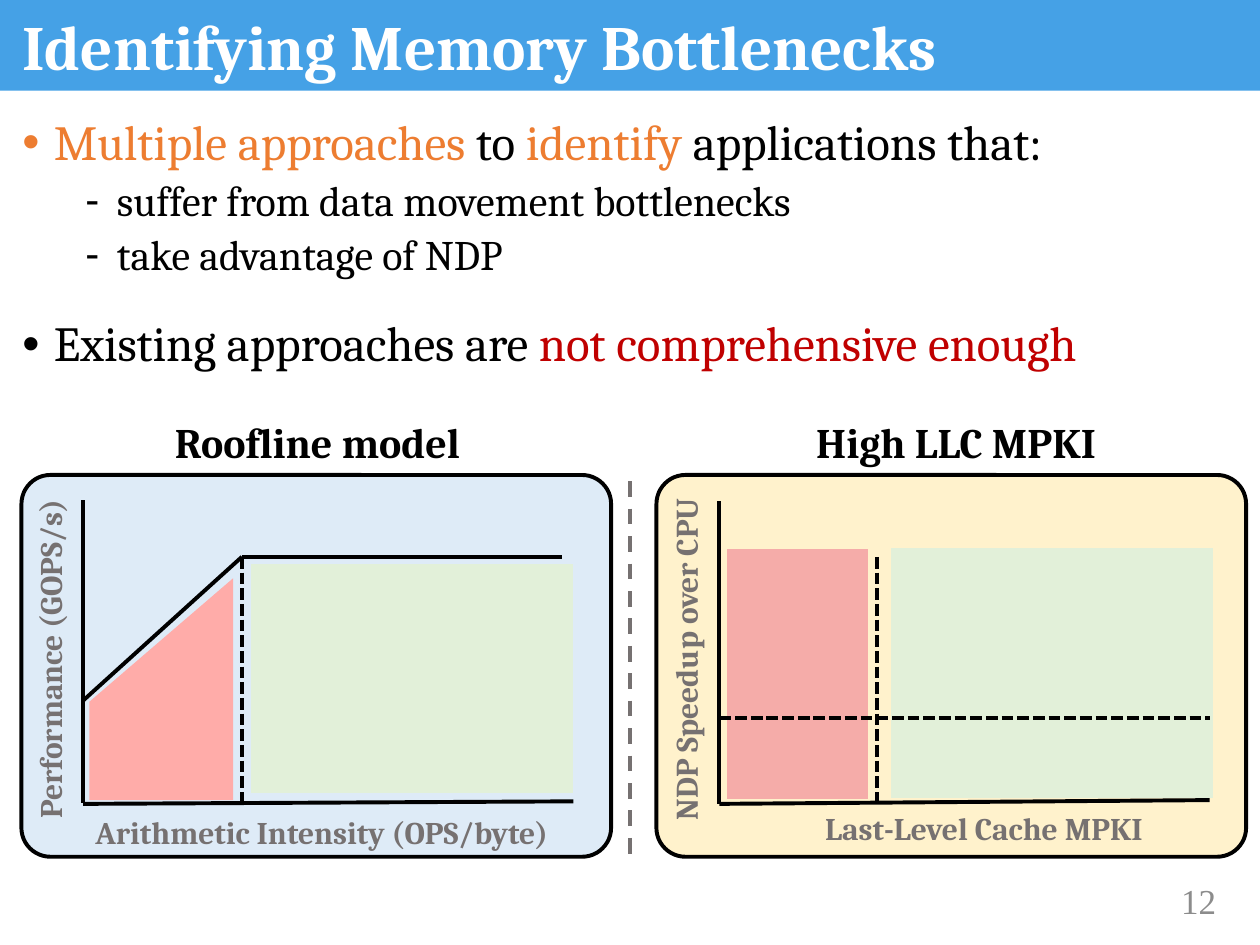
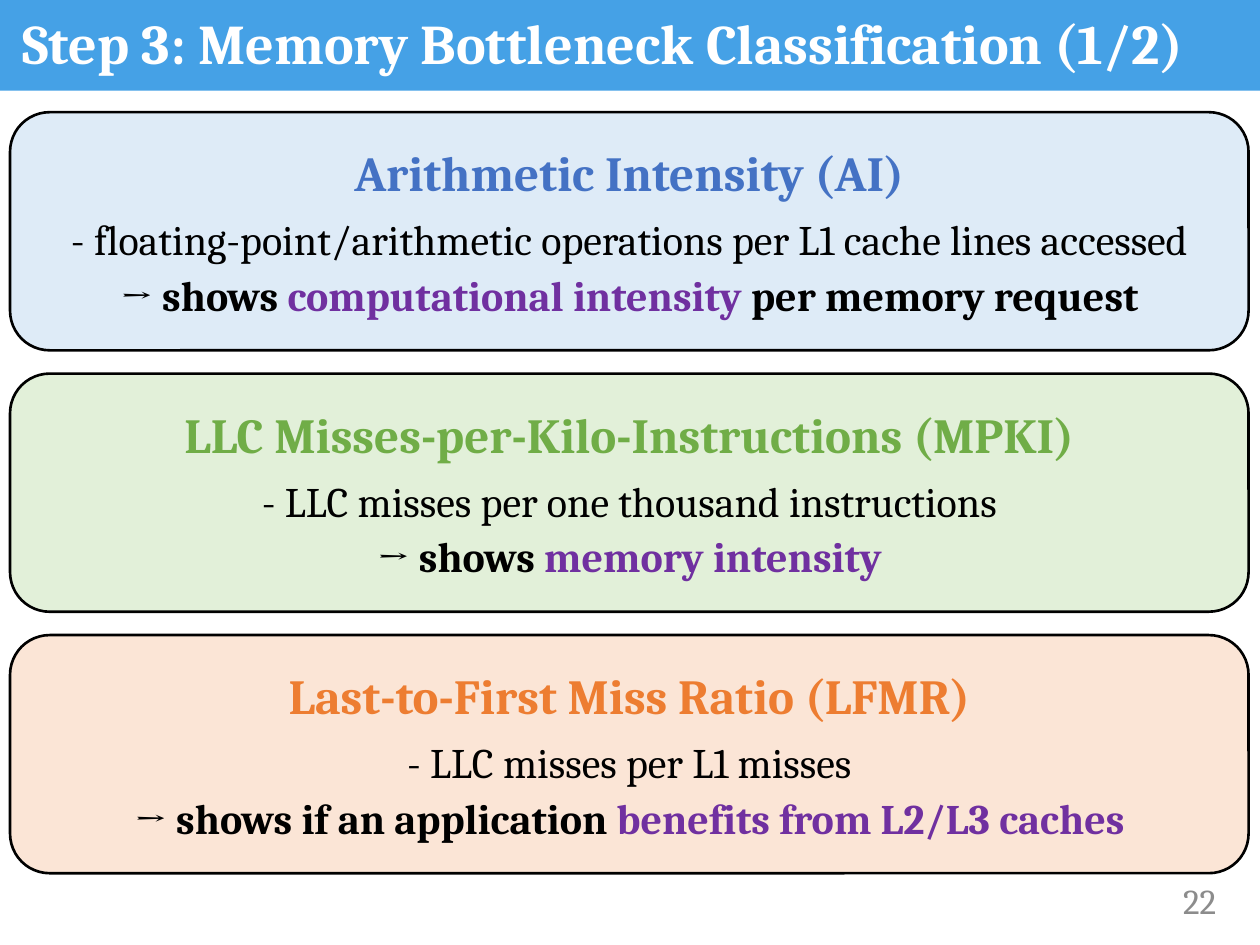
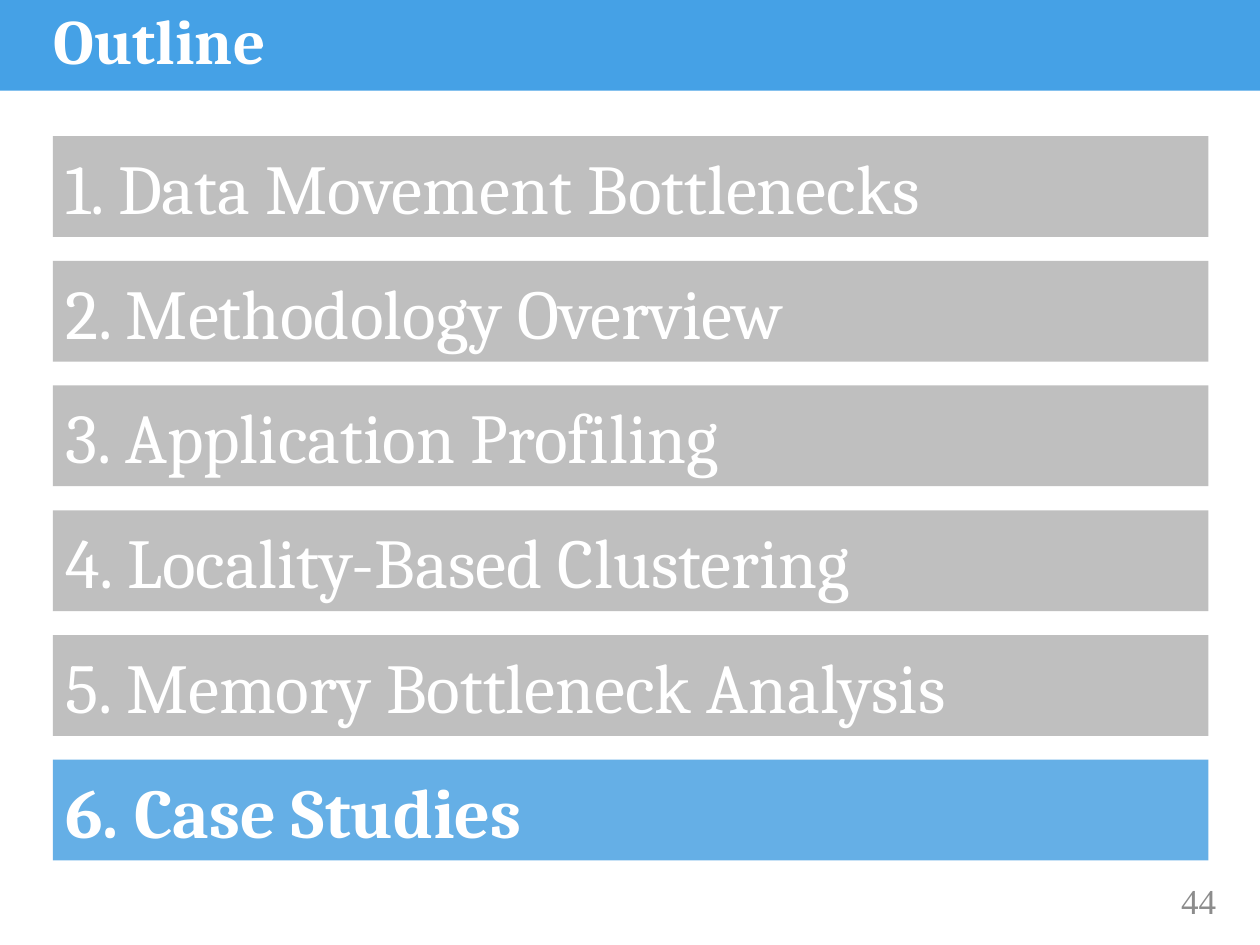
import pptx
import pptx.util
import pptx.dml.color
import pptx.enum.dml
import pptx.enum.shapes
import pptx.enum.text
import pptx.oxml.xmlchemy
from dataclasses import dataclass

Inches = pptx.util.Inches
Pt = pptx.util.Pt
Shape = pptx.enum.shapes.MSO_SHAPE
Align = pptx.enum.text.PP_ALIGN
Anchor = pptx.enum.text.MSO_ANCHOR
Dash = pptx.enum.dml.MSO_LINE
Element = pptx.oxml.xmlchemy.OxmlElement


@dataclass(frozen=True)
class Theme:
    font: str = "Cambria"
    plain: str = "Times New Roman"
    band: str = "45A1E6"
    white: str = "FFFFFF"
    black: str = "000000"
    gray: str = "767171"
    page: str = "8C8C8C"
    mute: str = "BFBFBF"
    live: str = "65AFE6"
    orange: str = "ED7D31"
    red: str = "C00000"
    blue: str = "4472C4"
    green: str = "70AD47"
    purple: str = "7030A0"
    sky: str = "DEEBF7"
    mint: str = "E2F0D9"
    cream: str = "FFF2CC"
    peach: str = "FBE5D6"
    rose: str = "FFACA9"
    pink: str = "F5ACA9"
    title: int = 36
    long: int = 32
    item: int = 40
    head: int = 28
    text: int = 24
    num: int = 20
    axis: int = 18
    thick: float = 2.25
    thin: float = 1.5


T = Theme()

# Each point: level, space before, runs of (text, colour)
POINTS = [
    (0, 0, [("Multiple approaches", T.orange), (" to ", T.black),
            ("identify", T.orange), (" applications that:", T.black)]),
    (1, 5, [("suffer from data movement bottlenecks", T.black)]),
    (1, 5, [("take advantage of NDP", T.black)]),
    (0, 23, [("Existing approaches are ", T.black),
             ("not comprehensive enough", T.red)]),
]

# Labels: text, (left, top, width); lines: x1, y1, x2, y2, dash
ROOF = {
    "left": 0.17, "fill": T.sky,
    "name": ("Roofline model", (1.29, 3.26, 2.62)),
    "x": ("Arithmetic Intensity (OPS/byte)", (0.66, 6.4, 3.9)),
    "y": ("Performance (GOPS/s)", (-1.02, 4.98, 2.83)),
    "zones": [
        (T.mint, [(1.99, 4.48), (4.55, 4.48), (4.55, 6.29), (1.99, 6.29)]),
        (T.rose, [(0.71, 5.57), (1.85, 4.59), (1.85, 6.35), (0.71, 6.35)]),
    ],
    "lines": [
        (0.66, 3.97, 0.66, 6.37, None), (0.66, 6.38, 4.55, 6.36, None),
        (0.66, 5.56, 1.92, 4.42, None), (1.92, 4.42, 4.46, 4.42, None),
        (1.92, 4.42, 1.92, 6.37, Dash.SQUARE_DOT),
    ],
}
MPKI = {
    "left": 5.21, "fill": T.cream,
    "name": ("High LLC MPKI", (6.38, 3.26, 2.54)),
    "x": ("Last-Level Cache MPKI", (6.45, 6.37, 2.8)),
    "y": ("NDP Speedup over CPU", (4.01, 4.98, 2.86)),
    "zones": [
        (T.mint, [(7.07, 4.35), (9.63, 4.35), (9.63, 6.33), (7.07, 6.33)]),
        (T.pink, [(5.77, 4.36), (6.89, 4.36), (6.89, 6.34), (5.77, 6.34)]),
    ],
    "lines": [
        (5.71, 3.98, 5.71, 6.38, None), (5.71, 6.38, 9.6, 6.35, None),
        (6.96, 4.42, 6.96, 6.37, Dash.SQUARE_DOT),
        (5.71, 5.7, 9.6, 5.7, Dash.SQUARE_DOT),
    ],
}

# Each card: fill, heading colour, heading, meaning, runs of what it shows
CARDS = [
    (T.sky, T.blue, "Arithmetic Intensity (AI)",
     "- floating-point/arithmetic operations per L1 cache lines accessed",
     [("→ shows ", T.black), ("computational intensity ", T.purple),
      ("per memory request", T.black)]),
    (T.mint, T.green, "LLC Misses-per-Kilo-Instructions (MPKI)",
     "- LLC misses per one thousand instructions",
     [("→ shows ", T.black), ("memory intensity", T.purple)]),
    (T.peach, T.orange, "Last-to-First Miss Ratio (LFMR)",
     "- LLC misses per L1 misses",
     [("→ shows if an application ", T.black),
      ("benefits from L2/L3 caches", T.purple)]),
]

TOPICS = ["Data Movement Bottlenecks", "Methodology Overview",
          "Application Profiling", "Locality-Based Clustering",
          "Memory Bottleneck Analysis", "Case Studies"]
ACTIVE = 6


def rgb(code):
    return pptx.dml.color.RGBColor.from_string(code)


def write(para, runs, size, bold=False, font=T.font):
    for text, color in runs:
        run = para.add_run()
        run.text = text
        run.font.name = font
        run.font.size = Pt(size)
        run.font.bold = bold
        run.font.color.rgb = rgb(color)


def paint(shape, fill, line=None, width=T.thin):
    shape.shadow.inherit = False
    shape.fill.solid()
    shape.fill.fore_color.rgb = rgb(fill)
    if line:
        shape.line.color.rgb = rgb(line)
        shape.line.width = Pt(width)
    else:
        shape.line.fill.background()


def block(slide, kind, box, fill, line=None, width=T.thin):
    shape = slide.shapes.add_shape(kind, *map(Inches, box))
    paint(shape, fill, line, width)
    return shape


def frame(slide, box):
    text = slide.shapes.add_textbox(*map(Inches, box)).text_frame
    text.word_wrap = True
    return text


def label(slide, data, size, color, turn=0):
    """Add a one-line bold label that fits its text."""
    text, (left, top, width) = data
    box = slide.shapes.add_textbox(
        *map(Inches, (left, top, width, 0.5 if size == T.text else 0.4)))
    box.rotation = turn
    box.text_frame.word_wrap = False
    box.text_frame.auto_size = pptx.enum.text.MSO_AUTO_SIZE.SHAPE_TO_FIT_TEXT
    write(box.text_frame.paragraphs[0], [(text, color)], size, True)


def rule(slide, x1, y1, x2, y2, dash=None, color=T.black):
    line = slide.shapes.add_connector(
        pptx.enum.shapes.MSO_CONNECTOR.STRAIGHT,
        *map(Inches, (x1, y1, x2, y2)))
    line.line.color.rgb = rgb(color)
    line.line.width = Pt(T.thick)
    if dash:
        line.line.dash_style = dash
    line._element.spPr.append(Element("a:effectLst"))


def start(deck, title, page, box=(0.08, 0.08, 9.83, 0.81),
          size=T.title, font=T.plain):
    """Add a slide with its band, title and page number."""
    slide = deck.slides.add_slide(deck.slide_layouts[6])
    block(slide, Shape.RECTANGLE, (0, -0.03, 10, 0.75), T.band)
    para = frame(slide, box).paragraphs[0]
    para.line_spacing = 0.9
    write(para, [(title, T.white)], size, True)
    foot = frame(slide, (8.67, 6.95, 1.08, 0.4))
    foot.vertical_anchor = Anchor.MIDDLE
    foot.paragraphs[0].alignment = Align.RIGHT
    write(foot.paragraphs[0], [(str(page), T.page)], T.num, font=font)
    return slide


def bullet(para, level):
    props = para._p.get_or_add_pPr()
    props.set("marL", str(int(Inches((0.25, 0.75)[level]))))
    props.set("indent", str(int(Inches(-0.25))))
    for tag, key, value in (("a:buFont", "typeface", "Arial"),
                            ("a:buChar", "char", "•-"[level])):
        mark = Element(tag)
        mark.set(key, value)
        props.append(mark)


def plot(slide, data):
    panel = block(slide, Shape.ROUNDED_RECTANGLE,
                  (data["left"], 3.77, 4.68, 3.03),
                  data["fill"], T.black, T.thick)
    panel.adjustments[0] = 0.076
    for fill, spots in data["zones"]:
        spots = [(Inches(x), Inches(y)) for x, y in spots]
        zone = slide.shapes.build_freeform(*spots[0])
        zone.add_line_segments(spots[1:], close=True)
        paint(zone.convert_to_shape(), fill)
    for line in data["lines"]:
        rule(slide, *line)
    label(slide, data["name"], T.text, T.black)
    label(slide, data["x"], T.axis, T.gray)
    label(slide, data["y"], T.axis, T.gray, 270)


def limits(deck):
    slide = start(deck, "Identifying Memory Bottlenecks", 12)
    body = frame(slide, (0.08, 0.89, 9.83, 2.2))
    for i, (level, gap, runs) in enumerate(POINTS):
        para = body.add_paragraph() if i else body.paragraphs[0]
        bullet(para, level)
        para.line_spacing = 0.9
        para.space_before = Pt(gap)
        write(para, runs, (T.head, T.text)[level])
    plot(slide, ROOF)
    plot(slide, MPKI)
    rule(slide, 5, 3.82, 5, 6.78, Dash.DASH, T.gray)


def metrics(deck):
    slide = start(deck, "Step 3: Memory Bottleneck Classification (1/2)", 22,
                  size=T.long, font=T.font)
    high = 1.89
    step = (6.93 - 0.89 - high) / (len(CARDS) - 1)
    for i, (fill, color, name, sense, shows) in enumerate(CARDS):
        card = block(slide, Shape.ROUNDED_RECTANGLE,
                     (0.08, 0.89 + i * step, 9.83, high), fill, T.black)
        text = card.text_frame
        text.word_wrap = True
        text.vertical_anchor = Anchor.MIDDLE
        rows = [([(name, color)], T.head, True, 0),
                ([(sense, T.black)], T.text, False, 7),
                (shows, T.text, True, 3)]
        for j, (runs, size, bold, gap) in enumerate(rows):
            para = text.add_paragraph() if j else text.paragraphs[0]
            para.alignment = Align.CENTER
            para.space_before = Pt(gap)
            write(para, runs, size, bold)


def outline(deck):
    slide = start(deck, "Outline", 44, (0.33, 0.03, 9, 0.97))
    for n, topic in enumerate(TOPICS, 1):
        live = n == ACTIVE
        bar = block(slide, Shape.RECTANGLE,
                    (0.42, 1.08 + (n - 1) * 0.99, 9.17, 0.8),
                    T.live if live else T.mute)
        bar.text_frame.word_wrap = True
        bar.text_frame.vertical_anchor = Anchor.MIDDLE
        para = bar.text_frame.paragraphs[0]
        para.alignment = Align.LEFT
        write(para, [(f"{n}. {topic}", T.white)], T.item, live)


def main():
    deck = pptx.Presentation()
    deck.slide_width, deck.slide_height = Inches(10), Inches(7.5)
    limits(deck)
    metrics(deck)
    outline(deck)
    deck.save("out.pptx")


if __name__ == "__main__":
    main()
